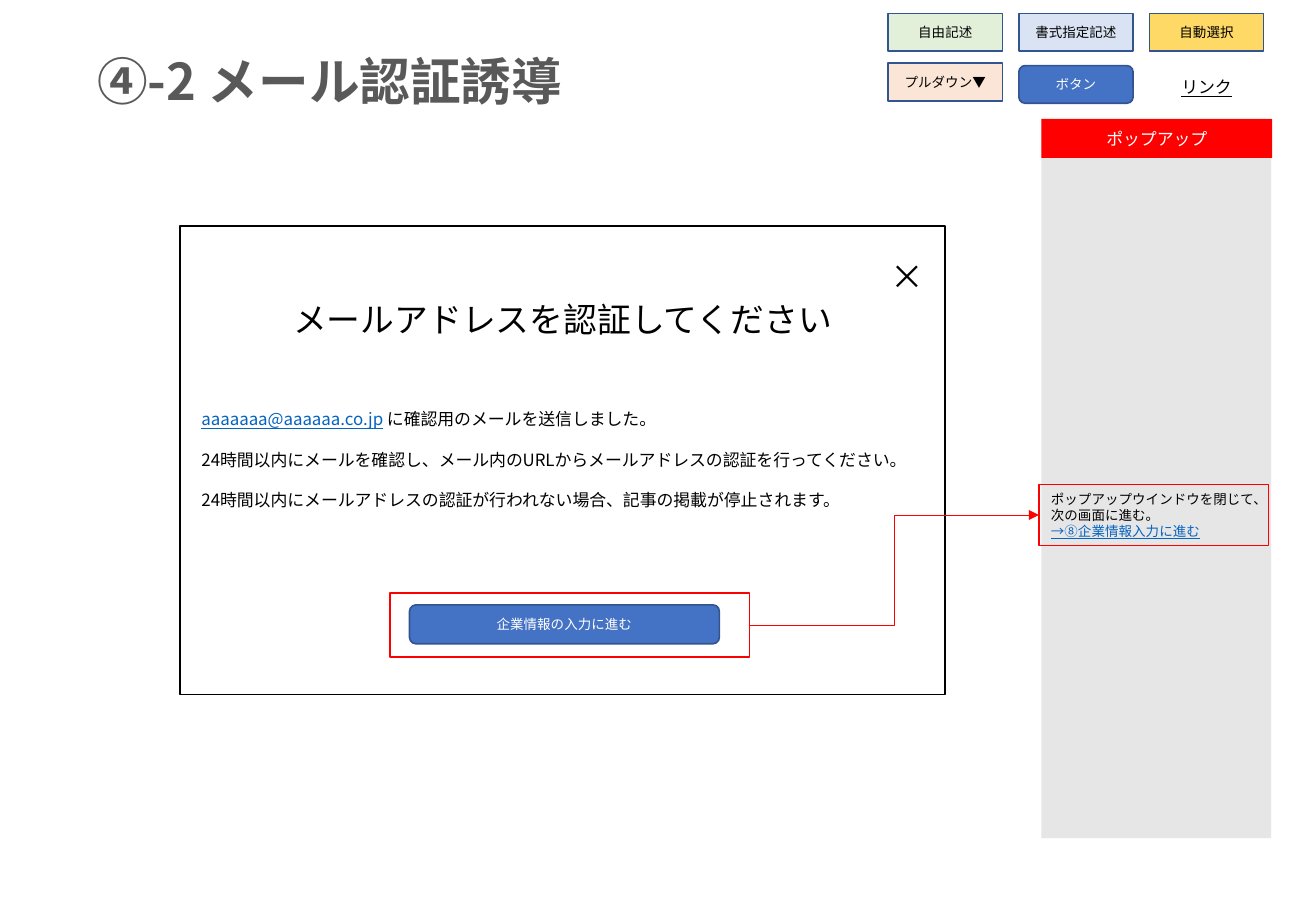
from lxml.etree import SubElement
from pptx import Presentation
from pptx.dml.color import RGBColor
from pptx.enum.shapes import MSO_CONNECTOR, MSO_SHAPE
from pptx.enum.text import MSO_ANCHOR, PP_ALIGN
from pptx.oxml.ns import qn
from pptx.util import Inches, Pt

FONT = "Noto Sans CJK JP"
BLACK = RGBColor(0x00, 0x00, 0x00)
WHITE = RGBColor(0xFF, 0xFF, 0xFF)
GRAY_TEXT = RGBColor(0x59, 0x59, 0x59)
GRAY_PANEL = RGBColor(0xE7, 0xE6, 0xE6)
RED = RGBColor(0xFF, 0x00, 0x00)
BLUE = RGBColor(0x44, 0x72, 0xC4)
NAVY = RGBColor(0x32, 0x54, 0x91)
LINK = RGBColor(0x05, 0x63, 0xC1)
GREEN = RGBColor(0xE2, 0xF0, 0xD9)
PEACH = RGBColor(0xFB, 0xE5, 0xD6)
PALE_BLUE = RGBColor(0xDA, 0xE3, 0xF3)
YELLOW = RGBColor(0xFF, 0xD9, 0x66)


def write(sp, paragraphs, size, color=BLACK, align=PP_ALIGN.CENTER,
          anchor=MSO_ANCHOR.MIDDLE, bold=False, gap=0):
    """Each paragraph is a list of (text, is_link) runs."""
    tf = sp.text_frame
    tf.word_wrap = True
    tf.vertical_anchor = anchor
    for i, runs in enumerate(paragraphs):
        p = tf.paragraphs[0] if i == 0 else tf.add_paragraph()
        p.alignment = align
        p.line_spacing = Pt(size * 1.2)
        p.space_before = Pt(gap if i else 0)
        p.font.size = Pt(size)
        p.font.name = FONT
        p.font.bold = bold
        # East Asian typeface
        SubElement(p._p.pPr.find(qn("a:defRPr")), qn("a:ea"), typeface=FONT)
        for text, is_link in runs:
            r = p.add_run()
            r.text = text
            r.font.color.rgb = LINK if is_link else color
            if is_link:
                r.font.underline = True


def add_text(s, box, text, size, **style):
    sp = s.shapes.add_textbox(*map(Inches, box))
    write(sp, [[(text, False)]], size, **style)
    return sp


def add_box(s, box, fill=None, line=None, width=1, kind=MSO_SHAPE.RECTANGLE):
    sp = s.shapes.add_shape(kind, *map(Inches, box))
    sp.shadow.inherit = False
    if fill is None:
        sp.fill.background()
    else:
        sp.fill.solid()
        sp.fill.fore_color.rgb = fill
    if line is None:
        sp.line.fill.background()
    else:
        sp.line.color.rgb = line
        sp.line.width = Pt(width)
    return sp


def add_button(s, box, text):
    sp = add_box(s, box, BLUE, NAVY, kind=MSO_SHAPE.ROUNDED_RECTANGLE)
    write(sp, [[(text, False)]], 8, WHITE)


def add_legend(s, x, y):
    step, w, h = 1.075, 0.94, 0.31
    # Field types: column, offset down, label, fill
    fields = [
        (0, 0, "自由記述", GREEN),
        (1, 0, "書式指定記述", PALE_BLUE),
        (2, 0, "自動選択", YELLOW),
        (0, 0.41, "プルダウン▼", PEACH),
    ]
    for col, dy, label, fill in fields:
        sp = add_box(s, (x + col * step, y + dy, w, h), fill, NAVY)
        write(sp, [[(label, False)]], 8)
    # Button and link samples
    add_button(s, (x + step, y + 0.43, w, h), "ボタン")
    link = add_text(s, (x + 2 * step, y + 0.47, w, 0.27), "リンク", 10)
    link.text_frame.paragraphs[0].font.underline = True


def add_popup_panel(s, x, y, w, h):
    add_box(s, (x, y, w, h), GRAY_PANEL)
    header = add_box(s, (x, y + 0.01, w + 0.01, 0.32), RED)
    write(header, [[("ポップアップ", False)]], 10, WHITE)
    # Note on the next screen
    note = add_box(s, (x - 0.02, y + 3.02, w, 0.5), line=RED, width=0.75)
    write(note, [[("ポップアップウインドウを閉じて、次の画面に進む。", False)],
                 [("→⑧企業情報入力に進む", True)]],
          8, align=PP_ALIGN.LEFT, anchor=MSO_ANCHOR.TOP)
    return note


def add_dialog(s, x, y, w, h):
    add_box(s, (x, y, w, h), line=BLACK)
    add_text(s, (x, y + 0.55, w, 0.44), "メールアドレスを認証してください", 20)
    add_text(s, (x + w - 0.63, y + 0.19, 0.63, 0.44), "×", 20)
    # Message
    body = s.shapes.add_textbox(Inches(x + 0.08), Inches(y + 1.02),
                                Inches(w - 0.16), Inches(1.81))
    write(body, [
        [("aaaaaaa@aaaaaa.co.jp", True), (" に確認用のメールを送信しました。", False)],
        [("24時間以内にメールを確認し、メール内のURLからメールアドレスの認証を行ってください。", False)],
        [("24時間以内にメールアドレスの認証が行われない場合、記事の掲載が停止されます。", False)],
    ], 10, align=PP_ALIGN.LEFT, gap=12)
    # Button with its red highlight
    add_button(s, (x + 1.89, y + 3.12, 2.55, 0.32), "企業情報の入力に進む")
    return add_box(s, (x + 1.73, y + 3.02, 2.96, 0.53), line=RED)


def add_arrow(s, start, end):
    c = s.shapes.add_connector(MSO_CONNECTOR.ELBOW, 0, 0, 0, 0)
    c.begin_connect(start, 3)
    c.end_connect(end, 1)
    c.line.color.rgb = RED
    c.line.width = Pt(0.5)
    SubElement(c.line._get_or_add_ln(), qn("a:tailEnd"), type="triangle")
    SubElement(c._element.spPr, qn("a:effectLst"))


def main():
    prs = Presentation()
    prs.slide_width, prs.slide_height = Inches(10.83), Inches(7.5)
    s = prs.slides.add_slide(prs.slide_layouts[6])
    add_text(s, (0.7, 0.36, 9.39, 0.61), "④-2 メール認証誘導", 30,
             color=GRAY_TEXT, align=PP_ALIGN.LEFT, bold=True)
    add_legend(s, 7.31, 0.11)
    note = add_popup_panel(s, 8.57, 0.97, 1.89, 5.93)
    highlight = add_dialog(s, 1.48, 1.86, 6.3, 3.86)
    add_arrow(s, highlight, note)
    prs.save("out.pptx")


if __name__ == "__main__":
    main()
